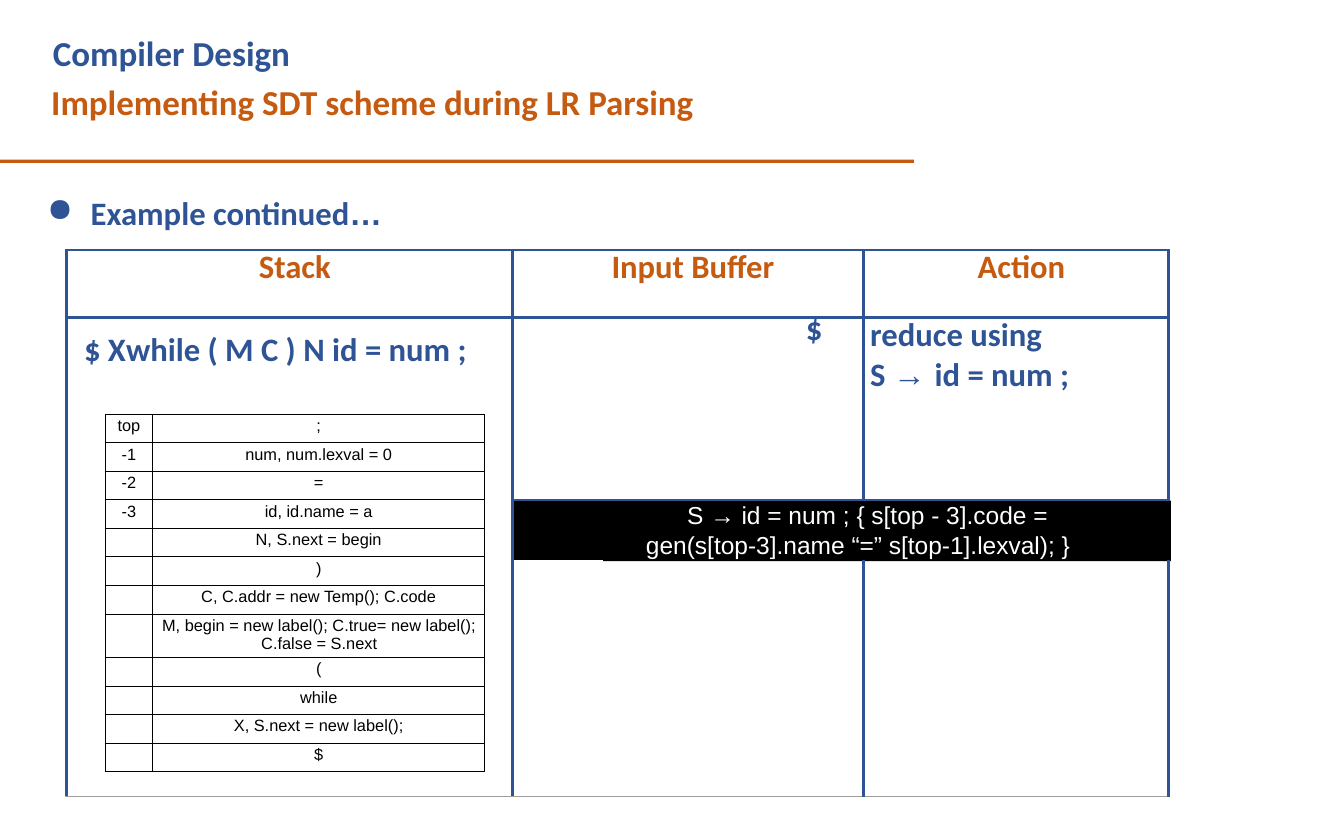
"""Build the Compiler Design slide about SDT schemes during LR parsing."""
from dataclasses import dataclass, field
from typing import Any, Optional

from lxml.etree import SubElement
from pptx import Presentation
from pptx.dml.color import RGBColor
from pptx.enum.shapes import MSO_SHAPE as Preset
from pptx.enum.text import PP_ALIGN as Align
from pptx.oxml.ns import qn
from pptx.util import Inches, Pt

COLORS = {"blue": "2F5496", "orange": "C55A11", "black": "000000",
          "white": "FFFFFF", "gray": "9E9E9E"}
SIDES = {"L": "a:lnL", "R": "a:lnR", "T": "a:lnT", "B": "a:lnB"}


@dataclass
class Line:
    text: str
    style: dict[str, Any] = field(default_factory=dict)
    tail: str = ""


@dataclass
class CellSpec:
    row: int
    column: int
    lines: list[Line] = field(default_factory=list)
    top: float = 0
    right: float = 0
    borders: str = "LRTB"
    gray_bottom: bool = False
    fill: Optional[str] = None


@dataclass
class Bar:
    left: float
    top: float
    width: float
    height: float
    color: str


HEADING = {"color": "orange", "line": 32.1}
CENTERED = {**HEADING, "align": Align.CENTER, "left": 0.13}
ACTION = {"left": 0.08}
SMALL = {"size": 14, "font": "Arial", "color": "black", "bold": False}
SMALL_CENTERED = {**SMALL, "align": Align.CENTER}

BARS = [Bar(0, 1.9, 10.88, 0.04, "orange"), Bar(7.18, 5.96, 6.76, 0.72, "black")]

STACK_ROWS = [
    ("top", ";"), ("-1", "num, num.lexval = 0"), ("-2", "="),
    ("-3", "id, id.name = a"), ("", "N, S.next = begin"), ("", ")"),
    ("", "C, C.addr = new Temp(); C.code"),
    ("", "M, begin = new label(); C.true= new label(); C.false = S.next"),
    ("", "("), ("", "while"), ("", "X, S.next = new label();"), ("", "$"),
]
WRAPPED_ROW = 7

PARSE_CELLS = [
    CellSpec(0, 0, [Line("Stack", CENTERED)]),
    CellSpec(0, 1, [Line("Input Buffer", {**HEADING, "left": 1.18})]),
    CellSpec(0, 2, [Line("Action", CENTERED)]),
    CellSpec(1, 0, [Line("$ X\twhile ( M C ) N id = num ;", {"left": 0.21, "tab": 0.89})],
             top=0.15, gray_bottom=True),
    CellSpec(1, 1, [Line("$", {"align": Align.RIGHT, "line": 27.1})], right=0.49),
    CellSpec(1, 2, [Line("reduce using", {**ACTION, "line": 32.1}),
                    Line("S ", ACTION, "→ id = num ;")]),
    CellSpec(2, 0, borders="LR"),
    CellSpec(2, 1, [Line("S → id = num ; { s[top - 3].code = gen(s[top-3].name “=” s[top-1].lexval); }",
                         {"size": 21, "font": "Arial", "color": "white", "bold": False,
                          "left": 1.59, "indent": 0.49, "line": 25.2})],
             top=0.01, right=1.1, borders="LT", fill="black"),
    CellSpec(2, 2, borders="T", fill="black"),
    CellSpec(3, 0, borders="LRB", gray_bottom=True),
    CellSpec(3, 1, borders="LRB", gray_bottom=True),
    CellSpec(3, 2, borders="LRB", gray_bottom=True),
]


def rgb(name: str) -> RGBColor:
    return RGBColor.from_string(COLORS[name])


def write(paragraph, text: str, *, size: float = 28, font: str = "Calibri",
          color: str = "blue", bold: bool = True, align=None, left: float = 0,
          indent: float = 0, before: float = 0, line: float = 0,
          tab: float = 0, bullet: str = "") -> None:
    properties = paragraph._p.get_or_add_pPr()
    if left:
        properties.set("marL", str(Inches(left)))
        properties.set("indent", str(Inches(indent)))
    if bullet:
        SubElement(properties, qn("a:buChar")).set("char", bullet)
    if tab:
        stop = SubElement(SubElement(properties, qn("a:tabLst")), qn("a:tab"))
        stop.set("pos", str(Inches(tab)))
        stop.set("algn", "l")
    if align is not None:
        paragraph.alignment = align
    if before:
        paragraph.space_before = Pt(before)
    if line:
        paragraph.line_spacing = Pt(line)
    run = paragraph.add_run()
    run.text = text
    run.font.size, run.font.name, run.font.bold = Pt(size), font, bold
    run.font.color.rgb = rgb(color)


def write_lines(frame, lines: list[Line]) -> None:
    for index, item in enumerate(lines):
        paragraph = frame.add_paragraph() if index else frame.paragraphs[0]
        write(paragraph, item.text, **item.style)
        if item.tail:
            arrow, rest = item.tail.split(" ", 1)
            write(paragraph, arrow + " ", font="Arial")
            write(paragraph, rest)


def add_text(slide, left: float, top: float, width: float, height: float,
             inset: float, lines: list[Line]):
    frame = slide.shapes.add_textbox(Inches(left), Inches(top), Inches(width),
                                     Inches(height)).text_frame
    frame.word_wrap = True
    frame.margin_left = frame.margin_right = frame.margin_bottom = 0
    frame.margin_top = Inches(inset)
    write_lines(frame, lines)
    return frame


def add_bar(slide, bar: Bar) -> None:
    shape = slide.shapes.add_shape(Preset.RECTANGLE, Inches(bar.left), Inches(bar.top),
                                   Inches(bar.width), Inches(bar.height))
    shape.shadow.inherit = False
    shape.fill.solid()
    shape.fill.fore_color.rgb = rgb(bar.color)
    shape.line.fill.background()


def set_border(cell, side: str, color: Optional[str], points: float) -> None:
    border = SubElement(cell._tc.get_or_add_tcPr(), qn(SIDES[side]))
    if color is None:
        SubElement(border, qn("a:noFill"))
        return
    border.set("w", str(Pt(points)))
    fill = SubElement(border, qn("a:solidFill"))
    SubElement(fill, qn("a:srgbClr")).set("val", COLORS[color])


def add_table(slide, left: float, top: float, columns: list[float], rows: list[float],
              cells: list[CellSpec], color: str, points: float):
    table = slide.shapes.add_table(len(rows), len(columns), Inches(left), Inches(top),
                                   Inches(sum(columns)), Inches(sum(rows))).table
    table.first_row = table.horz_banding = False
    for column, width in zip(table.columns, columns):
        column.width = Inches(width)
    for row, height in zip(table.rows, rows):
        row.height = Inches(height)
    for spec in cells:
        cell = table.cell(spec.row, spec.column)
        cell.margin_left = cell.margin_bottom = 0
        cell.margin_top, cell.margin_right = Inches(spec.top), Inches(spec.right)
        for side in SIDES:
            if side == "B" and spec.gray_bottom:
                set_border(cell, side, "gray", 0.75)
            else:
                set_border(cell, side, color if side in spec.borders else None, points)
        if spec.fill:
            cell.fill.solid()
            cell.fill.fore_color.rgb = rgb(spec.fill)
        else:
            cell.fill.background()
        write_lines(cell.text_frame, spec.lines)
    return table


def stack_cells() -> list[CellSpec]:
    cells = []
    for row, texts in enumerate(STACK_ROWS):
        for column, text in enumerate(texts):
            wrapped = row == WRAPPED_ROW and column == 1
            style = {**SMALL, "left": 1.29, "indent": -1.18} if wrapped else SMALL_CENTERED
            cells.append(CellSpec(row, column, [Line(text, style)] if text else [], top=0.03))
    return cells


def main() -> None:
    presentation = Presentation()
    presentation.slide_width, presentation.slide_height = Inches(16), Inches(10)
    slide = presentation.slides.add_slide(presentation.slide_layouts[6])
    add_text(slide, 0, 0.2, 10.9, 1.6, 0.18, [
        Line("Compiler Design", {"size": 30, "left": 0.63}),
        Line("Implementing SDT scheme during LR Parsing",
             {"size": 30, "color": "orange", "left": 0.61, "before": 6})])
    example = add_text(slide, 0.54, 2.28, 4.03, 0.49, 0.01, [
        Line("Example continued", {"left": 0.54, "indent": -0.52, "tab": 0.54, "bullet": "●"})])
    write(example.paragraphs[0], "…", font="Arial")
    row_heights = [0.52 if row == WRAPPED_ROW else 0.34 for row in range(len(STACK_ROWS))]
    add_table(slide, 1.25, 4.93, [0.57, 3.95], row_heights, stack_cells(), "black", 0.75)
    for bar in BARS:
        add_bar(slide, bar)
    parse_table = add_table(slide, 0.79, 2.98, [5.31, 4.18, 3.63], [0.8, 2.17, 0.72, 2.81],
                            PARSE_CELLS, "blue", 2.25)
    parse_table.cell(1, 0).merge(parse_table.cell(3, 0))
    parse_table.cell(2, 1).merge(parse_table.cell(2, 2))
    presentation.save("out.pptx")


if __name__ == "__main__":
    main()
